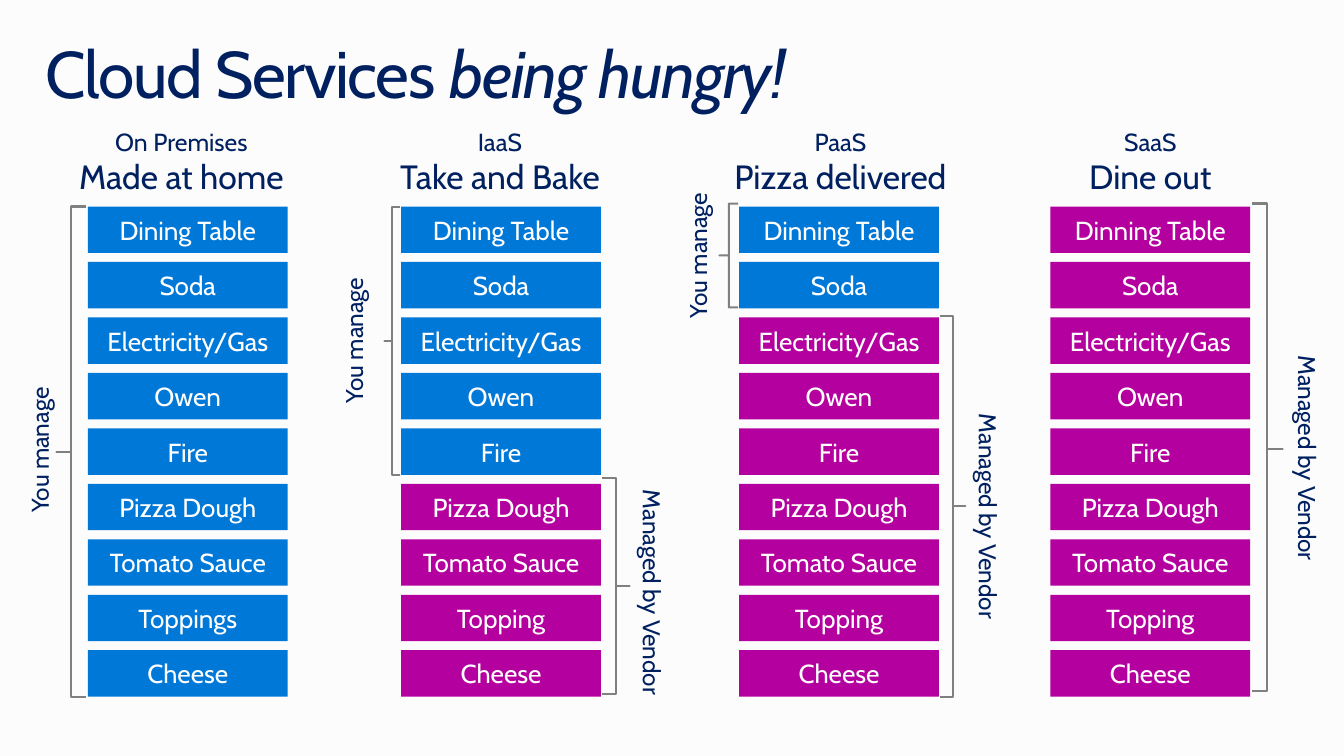
from dataclasses import dataclass
from pptx import Presentation, util as u
from pptx.dml.color import RGBColor
from pptx.enum import shapes, text


@dataclass(frozen=True)
class Theme:
    font: str = "Cabin"
    background: str = "FCFCFC"
    navy: str = "002060"
    white: str = "FFFFFF"
    own: str = "0078D7"
    vendor: str = "B4009E"
    brace: str = "808080"
    title_size: float = 48
    model_size: float = 18
    meal_size: float = 24.5
    block_size: float = 19
    label_size: float = 17.7


THEME = Theme()

# Block grid
BLOCK_WIDTH, BLOCK_HEIGHT = 2.02, 0.47
FIRST_TOP, LAST_TOP = 2.09, 6.58
HEADING_TOP, HEADING_HEIGHT = 1.28, 0.79
MIDDLE_LAYERS = ["Soda", "Electricity/Gas", "Owen", "Fire", "Pizza Dough", "Tomato Sauce"]


@dataclass(frozen=True)
class Span:
    """A brace with its vertical label; boxes are left, top, width, height."""
    by_vendor: bool
    brace: tuple
    label_at: tuple
    tip: float = 0.5


@dataclass(frozen=True)
class Service:
    model: str
    meal: str
    heading: tuple  # left, width
    left: float
    table: str
    topping: str
    own_count: int
    spans: tuple


SERVICES = [
    Service("On Premises", "Made at home", (0.68, 2.31), 0.89, "Dining Table", "Toppings", 9,
            (Span(False, (0.57, 2.09, 0.3, 4.96), (0.2, 3.89)),)),
    Service("IaaS", "Take and Bake", (3.46, 3.2), 4.06, "Dining Table", "Topping", 5,
            (Span(True, (6.09, 4.84, 0.28, 2.18), (6.3, 4.86)),
             Span(False, (3.89, 2.09, 0.16, 2.72), (3.38, 2.78)))),
    Service("PaaS", "Pizza delivered", (7.27, 2.47), 7.48, "Dinning Table", "Topping", 2,
            (Span(True, (9.51, 3.2, 0.26, 3.85), (9.7, 4.09)),
             Span(False, (7.28, 2.06, 0.19, 1.05), (6.86, 1.92)))),
    Service("SaaS", "Dine out", (10.39, 2.5), 10.63, "Dinning Table", "Topping", 0,
            (Span(True, (12.67, 2.06, 0.31, 4.93), (12.93, 3.5), 0.503),)),
]


def color(value):
    return RGBColor.from_string(value)


def inches(*lengths):
    return [u.Inches(length) for length in lengths]


def set_margins(frame, side, vertical):
    frame.margin_left = frame.margin_right = u.Inches(side)
    frame.margin_top = frame.margin_bottom = u.Inches(vertical)


def add_run(paragraph, words, size, ink=THEME.navy, italic=False):
    run = paragraph.add_run()
    run.text = words
    run.font.name = THEME.font
    run.font.size = u.Pt(size)
    run.font.color.rgb = color(ink)
    if italic:
        run.font.italic = True
    return run


def add_title(slide):
    frame = slide.shapes.add_textbox(*inches(0.3, 0.32, 13, 1)).text_frame
    frame.word_wrap = True
    set_margins(frame, 0.16, 0.1)
    line = frame.paragraphs[0]
    line.line_spacing = 0.9
    for words, italic in (("Cloud Services ", False), ("being hungry!", True)):
        run = add_run(line, words, THEME.title_size, italic=italic)
        run.font._element.set("spc", "-100")


def add_heading(group, service):
    left, width = service.heading
    box = group.shapes.add_textbox(*inches(left, HEADING_TOP, width, HEADING_HEIGHT))
    frame = box.text_frame
    frame.word_wrap = True
    set_margins(frame, 0, 0)
    model, meal = frame.paragraphs[0], frame.add_paragraph()
    model.alignment = meal.alignment = text.PP_ALIGN.CENTER
    add_run(model, service.model, THEME.model_size)
    add_run(meal, service.meal, THEME.meal_size)


def add_block(group, left, top, layer, fill):
    block = group.shapes.add_shape(shapes.MSO_SHAPE.RECTANGLE,
                                   *inches(left, top, BLOCK_WIDTH, BLOCK_HEIGHT))
    block.shadow.inherit = False
    block.fill.solid()
    block.fill.fore_color.rgb = color(fill)
    block.line.fill.background()
    frame = block.text_frame
    frame.word_wrap = True
    frame.vertical_anchor = text.MSO_ANCHOR.MIDDLE
    set_margins(frame, 0, 0.05)
    frame.paragraphs[0].alignment = text.PP_ALIGN.CENTER
    add_run(frame.paragraphs[0], layer, THEME.block_size, THEME.white)


def add_brace(group, span):
    brace = group.shapes.add_shape(shapes.MSO_SHAPE.LEFT_BRACE, *inches(*span.brace))
    brace.shadow.inherit = False
    brace.adjustments[0] = 0
    brace.adjustments[1] = span.tip
    brace.fill.background()
    brace.line.color.rgb = color(THEME.brace)
    brace.line.width = u.Pt(1.5)
    if span.by_vendor:
        brace._element.spPr.xfrm.set("flipH", "1")


def add_label(group, span):
    if span.by_vendor:
        words, direction, height = "Managed by Vendor", "eaVert", 2.13
    else:
        words, direction, height = "You manage", "vert270", 1.33
    frame = group.shapes.add_textbox(*inches(*span.label_at, 0.5, height)).text_frame
    frame.word_wrap = False
    frame.auto_size = text.MSO_AUTO_SIZE.SHAPE_TO_FIT_TEXT
    frame._txBody.bodyPr.set("vert", direction)
    frame.paragraphs[0].alignment = text.PP_ALIGN.CENTER
    add_run(frame.paragraphs[0], words, THEME.label_size)


def add_service(slide, service):
    group = slide.shapes.add_group_shape()
    add_heading(group, service)
    layers = [service.table, *MIDDLE_LAYERS, service.topping, "Cheese"]
    pitch = (LAST_TOP - FIRST_TOP) / (len(layers) - 1)
    for row, layer in enumerate(layers):
        fill = THEME.own if row < service.own_count else THEME.vendor
        add_block(group, service.left, FIRST_TOP + row * pitch, layer, fill)
    for span in service.spans:
        add_brace(group, span)
        add_label(group, span)


def main():
    deck = Presentation()
    deck.slide_width, deck.slide_height = inches(13.6, 7.65)
    slide = deck.slides.add_slide(deck.slide_layouts[6])
    slide.background.fill.solid()
    slide.background.fill.fore_color.rgb = color(THEME.background)

    # Title, then one column for each service model
    add_title(slide)
    for service in SERVICES:
        add_service(slide, service)
    deck.save("out.pptx")


if __name__ == "__main__":
    main()
